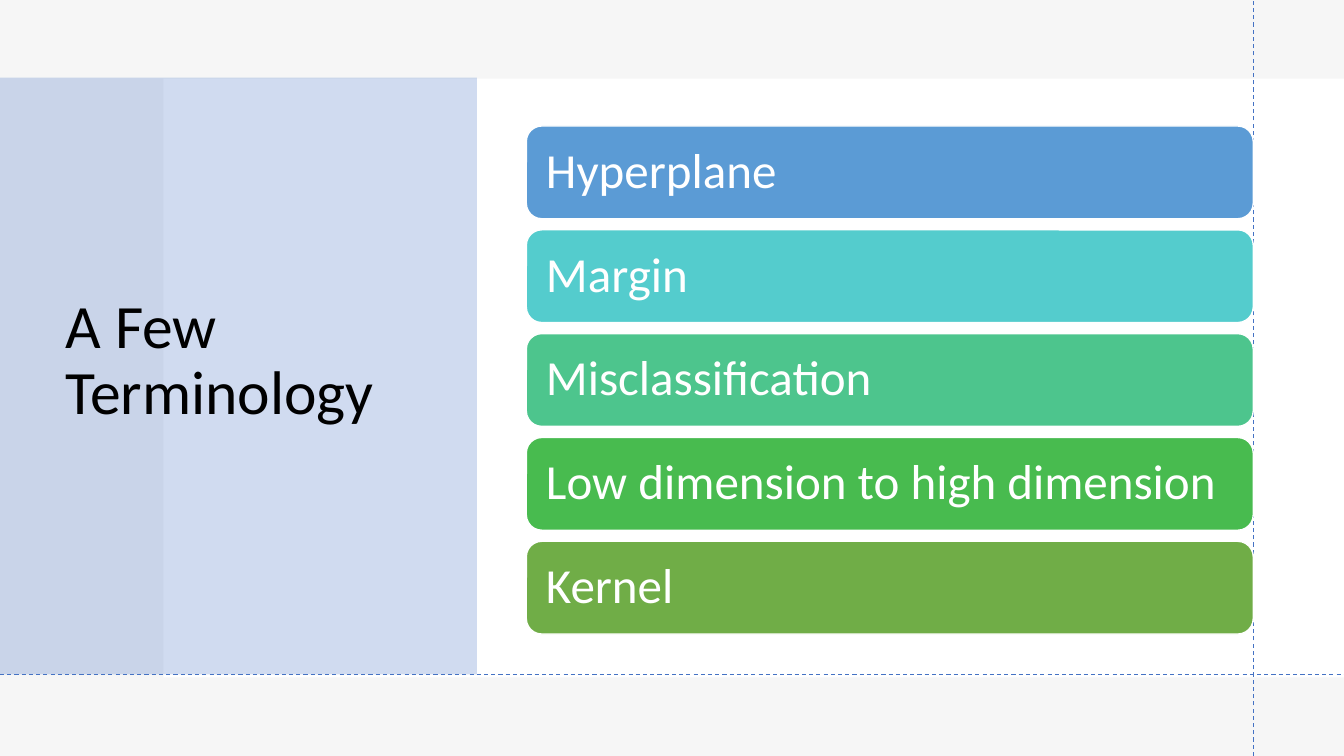
"""Build the slide that lists a few terms beside its title."""
from lxml.etree import SubElement
from pptx import Presentation
from pptx.dml.color import RGBColor
from pptx.enum.dml import MSO_LINE
from pptx.enum.shapes import MSO_CONNECTOR, MSO_SHAPE
from pptx.enum.text import MSO_ANCHOR, PP_ALIGN
from pptx.oxml.ns import qn
from pptx.util import Inches, Pt

COLORS = {
    "white": "FFFFFF", "black": "000000", "gray": "E7E6E6", "accent": "4472C4",
    "blue": "5B9BD5", "teal": "54CCCD", "mint": "4DC58D",
    "green": "48BB4F", "olive": "70AD47",
}
FONT = "Calibri"
WIDTH, HEIGHT = 13.33, 7.5
TITLE = "A Few Terminology"
TERMS = [
    ("Hyperplane", "blue"),
    ("Margin", "teal"),
    ("Misclassification", "mint"),
    ("Low dimension to high dimension", "green"),
    ("Kernel", "olive"),
]
PANELS = [
    ((0, 0, WIDTH, HEIGHT), "white", 100),
    ((0, 0, WIDTH, HEIGHT), "gray", 35),
    ((1.62, 0.78, 11.71, 5.94), "white", 100),
    ((0, 0.77, 4.73, 5.92), "accent", 25),
]
GUIDES = [(12.43, HEIGHT, 12.43, 0), (0, 6.69, WIDTH, 6.69)]
TERM_LEFT, TERM_TOP, TERM_WIDTH, TERM_HEIGHT = 5.22, 1.25, 7.21, 0.92
TERM_PITCH = 1.03


def color(name):
    return RGBColor.from_string(COLORS[name])


def add_block(slide, kind, box, fill, opacity=100):
    block = slide.shapes.add_shape(kind, *map(Inches, box))
    block.shadow.inherit = False
    block.fill.solid()
    block.fill.fore_color.rgb = color(fill)
    block.line.fill.background()
    if opacity < 100:
        tint = block.fill._xPr.find(qn("a:solidFill"))[0]
        SubElement(tint, qn("a:alpha")).set("val", str(opacity * 1000))
    return block


def write(frame, text, size, ink):
    frame.word_wrap = True
    frame.vertical_anchor = MSO_ANCHOR.MIDDLE
    paragraph = frame.paragraphs[0]
    paragraph.alignment = PP_ALIGN.LEFT
    paragraph.line_spacing = 0.9
    run = paragraph.add_run()
    run.text = text
    run.font.name = FONT
    run.font.size = Pt(size)
    run.font.color.rgb = color(ink)


def add_title(slide):
    title = slide.shapes.title
    title.left, title.top = Inches(0.55), Inches(0.74)
    title.width, title.height = Inches(3.95), Inches(5.69)
    write(title.text_frame, TITLE, 44, "black")
    slide.shapes._spTree.append(title._element)


def add_guide(slide, ends):
    guide = slide.shapes.add_connector(MSO_CONNECTOR.STRAIGHT, *map(Inches, ends))
    guide.line.color.rgb = color("accent")
    guide.line.width = Pt(0.75)
    guide.line.dash_style = MSO_LINE.DASH
    SubElement(guide._element.spPr, qn("a:effectLst"))


def add_term(slide, row, term, fill):
    box = (TERM_LEFT, TERM_TOP + row * TERM_PITCH, TERM_WIDTH, TERM_HEIGHT)
    bar = add_block(slide, MSO_SHAPE.ROUNDED_RECTANGLE, box, fill)
    bar.line.color.rgb = color("white")
    bar.line.width = Pt(1)
    frame = bar.text_frame
    frame.margin_left = frame.margin_right = Inches(0.15)
    write(frame, term, 35, "white")


def main():
    deck = Presentation()
    deck.slide_width, deck.slide_height = Inches(WIDTH), Inches(HEIGHT)
    slide = deck.slides.add_slide(deck.slide_layouts[5])
    for box, fill, opacity in PANELS:
        add_block(slide, MSO_SHAPE.RECTANGLE, box, fill, opacity)
    add_title(slide)
    for ends in GUIDES:
        add_guide(slide, ends)
    for row, (term, fill) in enumerate(TERMS):
        add_term(slide, row, term, fill)
    deck.save("out.pptx")


if __name__ == "__main__":
    main()
